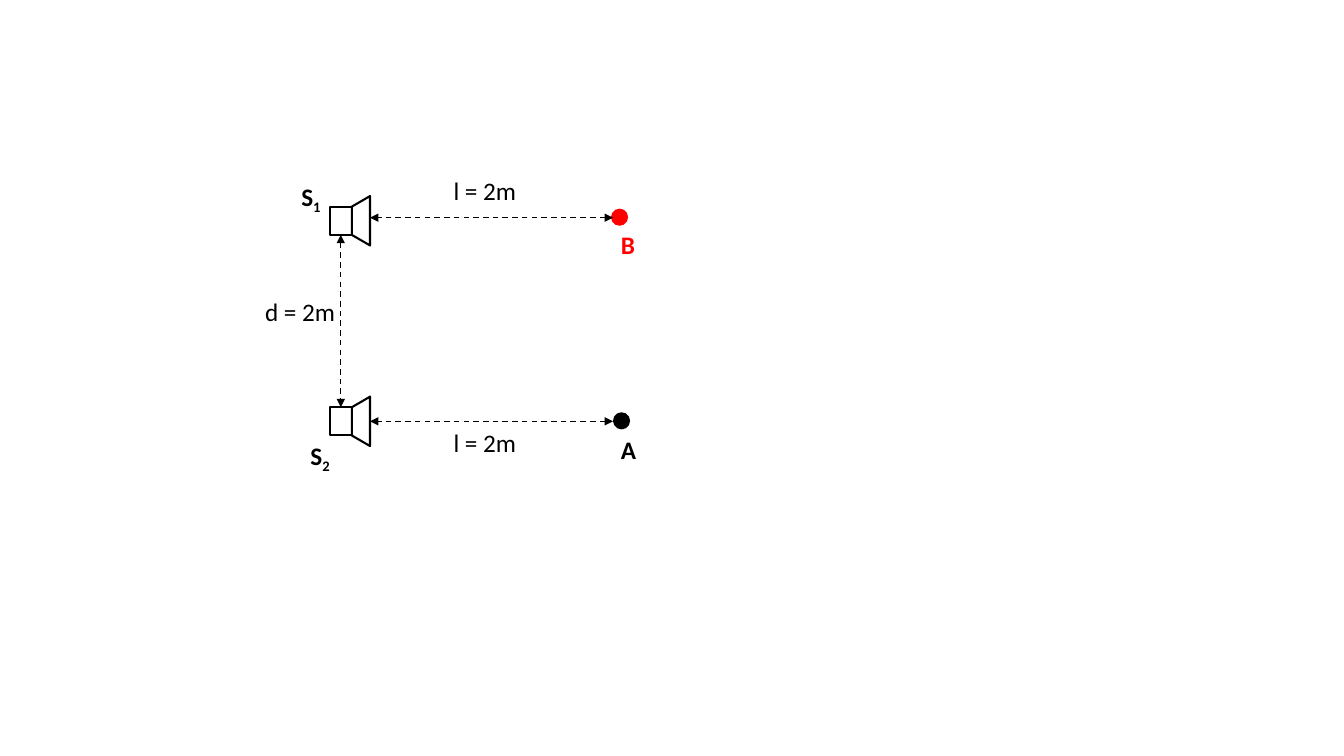
import pptx
import pptx.dml.color
import pptx.enum.dml
import pptx.enum.shapes
import pptx.enum.text
import pptx.oxml.ns
import pptx.util
import lxml.etree

BLACK, RED = "000000", "FF0000"
FONT, TEXT_SIZE = "Calibri", 18
LABEL_HEIGHT = 0.4

# Content: lengths in inches
SPEAKER_LEFT = 3.27
SPEAKER_TOPS = (2.05, 4.04)
BODY_WIDTH, BODY_HEIGHT = 0.22, 0.28
HORN_DEPTH, HORN_HEIGHT, HORN_SLOPE = 0.18, 0.49, 0.58
POINT_SIZE = 0.17
POINTS = [  # left, top, colour
    (6.06, 2.07, RED),
    (6.08, 4.09, BLACK),
]
RANGE_START, RANGE_END = 3.67, 6.08
RANGE_ROWS = (2.16, 4.18)
LABELS = [  # text, subscript, left, top, width, bold, colour
    ("S", "1", 2.89, 1.75, 0.41, True, BLACK),
    ("S", "2", 2.98, 4.32, 0.41, True, BLACK),
    ("B", "", 6.06, 2.23, 0.35, True, RED),
    ("A", "", 6.06, 4.26, 0.35, True, BLACK),
    ("d = 2m", "", 2.53, 2.89, 0.91, False, BLACK),
    ("l = 2m", "", 4.4, 1.69, 0.83, False, BLACK),
    ("l = 2m", "", 4.4, 4.19, 0.83, False, BLACK),
]

SHAPE = pptx.enum.shapes.MSO_SHAPE


def inches(*lengths):
    return [pptx.util.Inches(length) for length in lengths]


def paint(color_format, color):
    color_format.rgb = pptx.dml.color.RGBColor.from_string(color)


def add_outline(page, kind, left, top, width, height):
    shape = page.shapes.add_shape(kind, *inches(left, top, width, height))
    shape.shadow.inherit = False
    shape.fill.background()
    paint(shape.line.color, BLACK)
    shape.line.width = pptx.util.Pt(1.5)
    return shape


def add_speaker(page, top):
    body = add_outline(page, SHAPE.RECTANGLE, SPEAKER_LEFT, top, BODY_WIDTH, BODY_HEIGHT)
    # The horn is a trapezoid turned on its side, touching the body
    center_x = SPEAKER_LEFT + BODY_WIDTH + HORN_DEPTH / 2
    center_y = top + BODY_HEIGHT / 2
    horn = add_outline(page, SHAPE.TRAPEZOID, center_x - HORN_HEIGHT / 2,
                       center_y - HORN_DEPTH / 2, HORN_HEIGHT, HORN_DEPTH)
    horn.adjustments[0] = HORN_SLOPE
    horn.rotation = 270
    return body


def add_point(page, left, top, color):
    point = page.shapes.add_shape(SHAPE.OVAL, *inches(left, top, POINT_SIZE, POINT_SIZE))
    point.shadow.inherit = False
    point.fill.solid()
    paint(point.fill.fore_color, color)
    point.line.fill.background()


def add_distance(page, start_x, start_y, end_x, end_y):
    arrow = page.shapes.add_connector(pptx.enum.shapes.MSO_CONNECTOR.STRAIGHT,
                                      *inches(start_x, start_y, end_x, end_y))
    paint(arrow.line.color, BLACK)
    arrow.line.width = pptx.util.Pt(1)
    arrow.line.dash_style = pptx.enum.dml.MSO_LINE.DASH
    properties = arrow._element.spPr
    outline = properties.find(pptx.oxml.ns.qn("a:ln"))
    for end in ("a:headEnd", "a:tailEnd"):
        lxml.etree.SubElement(outline, pptx.oxml.ns.qn(end), type="triangle")
    lxml.etree.SubElement(properties, pptx.oxml.ns.qn("a:effectLst"))
    return arrow


def add_label(page, text, subscript, left, top, width, bold, color):
    box = page.shapes.add_textbox(*inches(left, top, width, LABEL_HEIGHT))
    box.text_frame.word_wrap = False
    box.text_frame.auto_size = pptx.enum.text.MSO_AUTO_SIZE.SHAPE_TO_FIT_TEXT
    para = box.text_frame.paragraphs[0]
    para.font.name, para.font.size, para.font.bold = FONT, pptx.util.Pt(TEXT_SIZE), bold
    paint(para.font.color, color)
    para.add_run().text = text
    if subscript:
        span = para.add_run()
        span.text = subscript
        span._r.get_or_add_rPr().set("baseline", "-25000")


def main():
    deck = pptx.Presentation()
    deck.slide_width, deck.slide_height = inches(13.33, 7.5)
    page = deck.slides.add_slide(deck.slide_layouts[6])

    # Speakers and the distance between them
    upper, lower = [add_speaker(page, top) for top in SPEAKER_TOPS]
    middle = SPEAKER_LEFT + BODY_WIDTH / 2
    spacing = add_distance(page, middle, SPEAKER_TOPS[0] + BODY_HEIGHT,
                           middle, SPEAKER_TOPS[1])
    spacing.begin_connect(upper, 2)
    spacing.end_connect(lower, 0)

    # Listening points and their distances
    for point in POINTS:
        add_point(page, *point)
    for row in RANGE_ROWS:
        add_distance(page, RANGE_END, row, RANGE_START, row)

    # Labels
    for label in LABELS:
        add_label(page, *label)

    deck.save("out.pptx")


if __name__ == "__main__":
    main()
